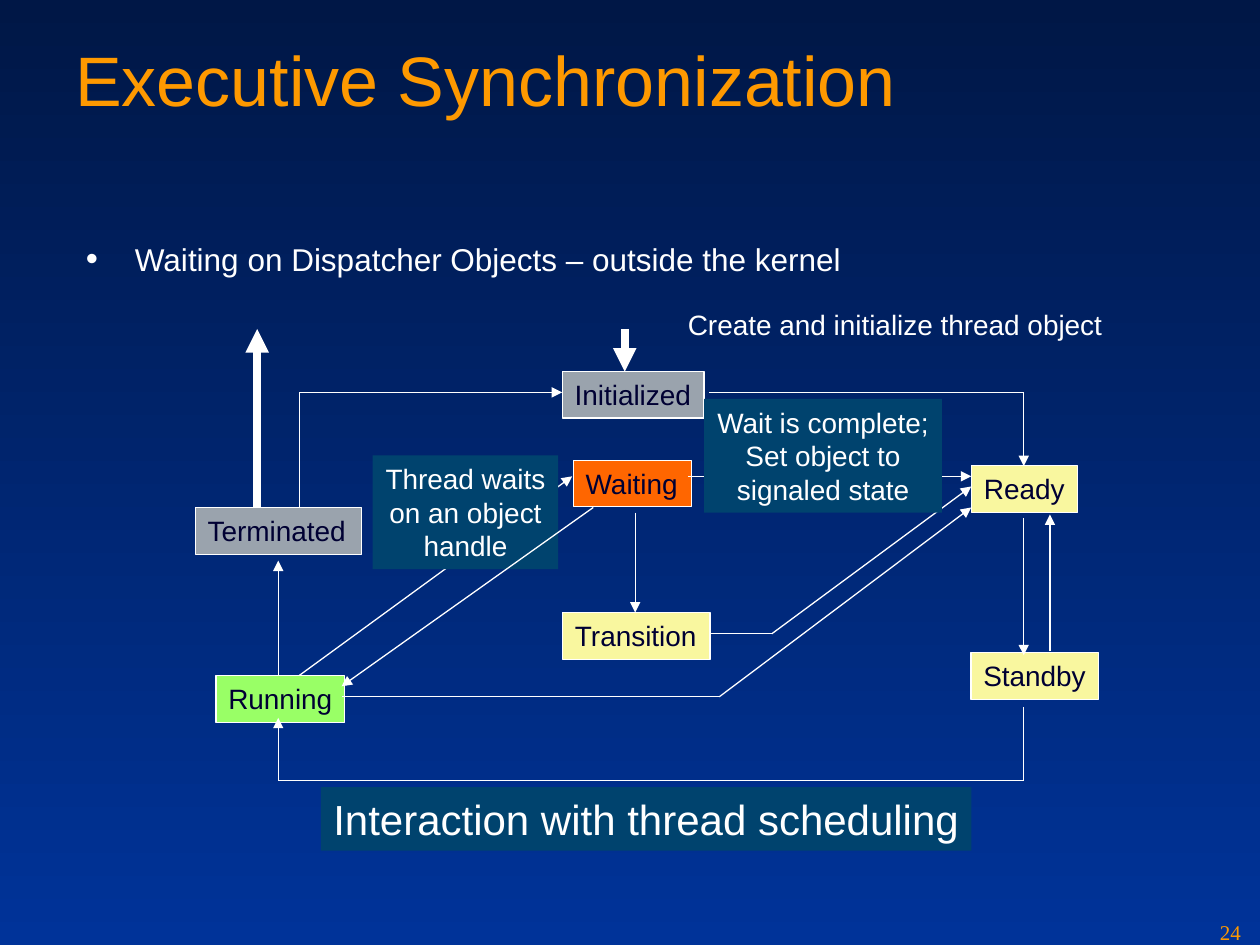
from dataclasses import dataclass
from itertools import pairwise

from lxml.etree import SubElement
from pptx import Presentation
from pptx.dml.color import RGBColor
from pptx.enum.shapes import MSO_CONNECTOR, MSO_SHAPE
from pptx.enum.text import MSO_ANCHOR, MSO_AUTO_SIZE, PP_ALIGN
from pptx.oxml.ns import qn
from pptx.util import Pt


@dataclass(frozen=True)
class Theme:
    bg_top: str = "001746"
    bg_bottom: str = "003399"
    accent: str = "FE9900"
    light: str = "FFFFFF"
    dark: str = "000033"
    note: str = "00436E"
    idle: str = "9AA3AD"
    queued: str = "F9F79F"
    waiting: str = "FF6600"
    running: str = "99FF66"
    font: str = "Arial"
    number_font: str = "Times New Roman"
    title_size: int = 40
    caption_size: int = 24
    body_size: int = 18
    label_size: int = 16
    number_size: int = 12
    thin: float = 0.75
    thick: float = 4.5


T = Theme()
NODE_H = 26.6


def rgb(value):
    return RGBColor.from_string(value)


def set_background(s):
    fill = s.background.fill
    fill.gradient()
    fill.gradient_angle = 270
    for stop, color, position in zip(fill.gradient_stops, (T.bg_top, T.bg_bottom), (0, 1)):
        stop.color.rgb = rgb(color)
        stop.position = position


def write(sp, text, size, color, font=T.font, align=PP_ALIGN.LEFT):
    tf = sp.text_frame
    tf.word_wrap = True
    tf.vertical_anchor = MSO_ANCHOR.TOP
    tf.text = text
    for p in tf.paragraphs:
        p.alignment = align
        for r in p.runs:
            r.font.name = font
            r.font.size = Pt(size)
            r.font.color.rgb = rgb(color)
    return tf


def add_text(s, box, *args, **kwargs):
    sp = s.shapes.add_textbox(*map(Pt, box))
    return write(sp, *args, **kwargs).paragraphs[0]


def add_bullet(s, box, text):
    p = add_text(s, box, text, T.body_size, T.light)
    p.space_before = p.space_after = Pt(4.5)
    pPr = p._p.get_or_add_pPr()
    pPr.set("marL", str(Pt(28)))
    pPr.set("indent", str(Pt(-28)))
    color = SubElement(pPr, qn("a:buClr"))
    SubElement(color, qn("a:srgbClr"), val=T.light)
    SubElement(pPr, qn("a:buSzPct"), val="110000")
    SubElement(pPr, qn("a:buFont"), typeface=T.font)
    SubElement(pPr, qn("a:buChar"), char="•")


def add_box(s, box, text, fill, size=T.label_size, color=T.light, align=PP_ALIGN.LEFT):
    sp = s.shapes.add_shape(MSO_SHAPE.RECTANGLE, *map(Pt, box))
    sp.shadow.inherit = False
    sp.fill.solid()
    sp.fill.fore_color.rgb = rgb(fill)
    sp.line.fill.background()
    tf = write(sp, text, size, color, align=align)
    tf.word_wrap = False
    if align == PP_ALIGN.LEFT:
        tf.margin_right = 0
        tf.auto_size = MSO_AUTO_SIZE.NONE
    else:
        tf.margin_left = tf.margin_right = Pt(4)
    return sp


def add_state(s, text, x, y, w, fill):
    sp = add_box(s, (x, y, w, NODE_H), text, fill, color=T.dark)
    sp.line.color.rgb = rgb(T.light)
    sp.line.width = Pt(T.thin)


def add_arrow(s, *points, width=T.thin):
    for start, end in pairwise(points):
        c = s.shapes.add_connector(MSO_CONNECTOR.STRAIGHT, *map(Pt, start + end))
        c.line.color.rgb = rgb(T.light)
        c.line.width = Pt(width)
        SubElement(c._element.spPr, qn("a:effectLst"))
    SubElement(c._element.spPr.find(qn("a:ln")), qn("a:tailEnd"), type="triangle")


def add_states(s):
    for state in (
        ("Initialized", 321.3, 212.4, 81, T.idle),
        ("Ready", 555.2, 266.2, 60.5, T.queued),
        ("Transition", 321.5, 350.2, 84.2, T.queued),
        ("Waiting", 327.6, 263, 67.5, T.waiting),
        ("Running", 123.4, 386.2, 73.7, T.running),
        ("Terminated", 111.6, 290.2, 95, T.idle),
        ("Standby", 554.8, 373, 73, T.queued),
    ):
        add_state(s, *state)


def add_transitions(s):
    run_x, ready_x, ready_left = 159, 585, 555
    for route in (
        ((run_x, 386), (run_x, 320.4)),
        ((171, 290), (171, 224.2), (321.2, 224.2)),
        ((405.2, 224.2), (ready_x, 224.2), (ready_x, 266.4)),
        ((ready_x, 296), (ready_x, 374.4)),
        ((363, 293), (363, 350)),
        ((405.5, 362.2), (441, 362.2), (ready_left, 278)),
        ((195.2, 398.2), (411, 398.2), (ready_left, 290)),
        ((ready_x, 404), (ready_x, 446.2), (run_x, 446.2), (run_x, 410.2)),
        ((393.2, 272.2), (ready_left, 272.2)),
    ):
        add_arrow(s, *route)
    add_arrow(s, (147, 290), (147, 188), width=T.thick)
    add_arrow(s, (357, 188), (357, 212.4), width=T.thick)


def main():
    prs = Presentation()
    prs.slide_width, prs.slide_height = Pt(720), Pt(540)
    s = prs.slides.add_slide(prs.slide_layouts[6])
    set_background(s)
    center = PP_ALIGN.CENTER
    add_text(s, (36, 17.5, 648, 90), "Executive Synchronization", T.title_size, T.accent)
    add_bullet(s, (42, 133.6, 636, 34), "Waiting on Dispatcher Objects – outside the kernel")
    add_arrow(s, (171, 386), (327, 272.2))
    add_box(s, (213, 260.2, 106, 65), "Thread waits\von an object\vhandle", T.note, align=center)
    p = add_text(s, (375, 174.4, 273, 24), "Create and initialize thread object",
                 T.label_size, T.light, align=center)
    p.line_spacing = 0.9
    p.space_before = Pt(4)
    add_states(s)
    add_transitions(s)
    add_box(s, (402.4, 228, 135.8, 65), "Wait is complete;\nSet object to\vsignaled state",
            T.note, align=center)
    add_arrow(s, (339, 290), (195.2, 392.2))
    add_arrow(s, (600, 372.2), (600, 294))
    add_box(s, (183.4, 449.8, 371.8, 36.4), "Interaction with thread scheduling",
            T.note, size=T.caption_size)
    add_text(s, (690, 522, 30, 18), "24", T.number_size, T.accent, font=T.number_font)
    prs.save("out.pptx")


if __name__ == "__main__":
    main()
